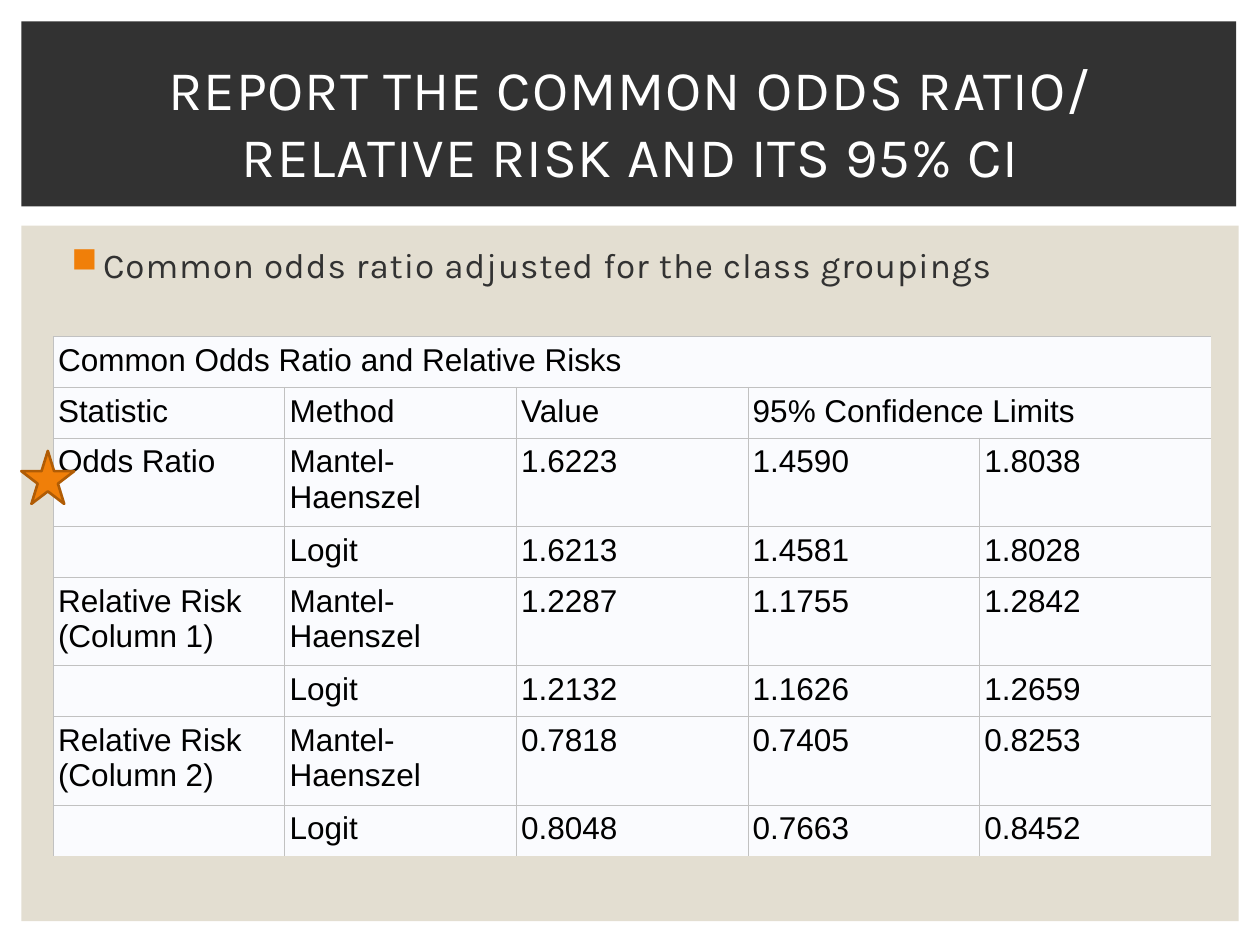
import dataclasses

import lxml.etree
import pptx
import pptx.dml.color
import pptx.enum.shapes
import pptx.enum.text
import pptx.oxml.ns
import pptx.shapes.autoshape
import pptx.slide
import pptx.table
import pptx.text.text
import pptx.util

Cm = pptx.util.Cm
Pt = pptx.util.Pt
qn = pptx.oxml.ns.qn
ShapeKind = pptx.enum.shapes.MSO_SHAPE


@dataclasses.dataclass(frozen=True)
class Theme:
    banner: str = "323232"
    panel: str = "E3DED1"
    title_text: str = "FFFFFF"
    body_text: str = "323232"
    accent: str = "F07F09"
    accent_edge: str = "B05C05"
    cell: str = "FAFBFE"
    cell_text: str = "000000"
    grid: str = "C1C1C1"
    heading_font: str = "Karla"
    table_font: str = "Arial"
    title_size: float = 32
    body_size: float = 20
    table_size: float = 18
    grid_width: float = 0.28
    star_edge_width: float = 1.5
    letter_spacing: int = 50


@dataclasses.dataclass(frozen=True)
class Box:
    left: float
    top: float
    width: float
    height: float

    def lengths(self) -> tuple:
        return tuple(Cm(v) for v in dataclasses.astuple(self))


@dataclasses.dataclass(frozen=True)
class Estimate:
    statistic: str
    method: str
    value: str
    lower: str
    upper: str


THEME = Theme()
PANEL = Box(0.43, 4.55, 24.54, 14.02)
BANNER = Box(0.43, 0.43, 24.49, 3.73)
BODY = Box(1.07, 4.78, 23.34, 12.24)
TITLE = Box(1.07, 0.99, 23.29, 2.92)
RISK_TABLE = Box(1.07, 6.78, 23.34, 10.07)
STAR = Box(0.43, 9.09, 1.07, 1.07)
SINGLE_ROW, DOUBLE_ROW = 0.97, 1.74

ESTIMATES = [
    Estimate("Odds Ratio", "Mantel-Haenszel", "1.6223", "1.4590", "1.8038"),
    Estimate("", "Logit", "1.6213", "1.4581", "1.8028"),
    Estimate("Relative Risk (Column 1)", "Mantel-Haenszel", "1.2287", "1.1755", "1.2842"),
    Estimate("", "Logit", "1.2132", "1.1626", "1.2659"),
    Estimate("Relative Risk (Column 2)", "Mantel-Haenszel", "0.7818", "0.7405", "0.8253"),
    Estimate("", "Logit", "0.8048", "0.7663", "0.8452"),
]


def rgb(colour: str) -> pptx.dml.color.RGBColor:
    return pptx.dml.color.RGBColor.from_string(colour)


def style(paragraph: pptx.text.text._Paragraph, font: str, size: float,
          colour: str, spacing: int = 0) -> None:
    for run in paragraph.runs:
        run.font.name = font
        run.font.size = Pt(size)
        run.font.color.rgb = rgb(colour)
        if spacing:
            run.font._element.set("spc", str(spacing))


def add_block(slide: pptx.slide.Slide, kind: ShapeKind, box: Box,
              fill: str) -> pptx.shapes.autoshape.Shape:
    block = slide.shapes.add_shape(kind, *box.lengths())
    block.shadow.inherit = False
    block.fill.solid()
    block.fill.fore_color.rgb = rgb(fill)
    block.line.fill.background()
    return block


def add_text(slide: pptx.slide.Slide, box: Box, text: str, size: float,
             colour: str) -> pptx.text.text.TextFrame:
    frame = slide.shapes.add_textbox(*box.lengths()).text_frame
    frame.word_wrap = True
    frame.text = text
    style(frame.paragraphs[0], THEME.heading_font, size, colour, THEME.letter_spacing)
    return frame


def add_bullet(paragraph: pptx.text.text._Paragraph) -> None:
    properties = paragraph._p.get_or_add_pPr()
    properties.set("marL", str(Cm(0.76)))
    properties.set("indent", str(-Cm(0.64)))
    colour = lxml.etree.SubElement(properties, qn("a:buClr"))
    lxml.etree.SubElement(colour, qn("a:srgbClr"), val=THEME.accent)
    lxml.etree.SubElement(properties, qn("a:buChar"), char="■")


def set_border(cell: pptx.table._Cell, side: str, visible: bool) -> None:
    properties = cell._tc.get_or_add_tcPr()
    line = lxml.etree.SubElement(properties, qn(f"a:ln{side}"), w=str(Pt(THEME.grid_width)))
    if visible:
        fill = lxml.etree.SubElement(line, qn("a:solidFill"))
        lxml.etree.SubElement(fill, qn("a:srgbClr"), val=THEME.grid)
    else:
        lxml.etree.SubElement(line, qn("a:noFill"))


def format_cell(cell: pptx.table._Cell, text: str, last_column: bool, last_row: bool) -> None:
    for side, visible in (("L", True), ("R", not last_column), ("T", True), ("B", not last_row)):
        set_border(cell, side, visible)
    cell.fill.solid()
    cell.fill.fore_color.rgb = rgb(THEME.cell)
    cell.margin_left = cell.margin_right = Cm(0.1)
    cell.margin_top = cell.margin_bottom = Cm(0.13)
    cell.text = text
    style(cell.text_frame.paragraphs[0], THEME.table_font, THEME.table_size, THEME.cell_text)


def add_risk_table(slide: pptx.slide.Slide) -> None:
    rows = [
        ("Common Odds Ratio and Relative Risks", "", "", "", ""),
        ("Statistic", "Method", "Value", "95% Confidence Limits", ""),
        *(dataclasses.astuple(estimate) for estimate in ESTIMATES),
    ]
    column_count = len(rows[0])
    table = slide.shapes.add_table(len(rows), column_count, *RISK_TABLE.lengths()).table
    table.first_row = table.horz_banding = False
    for column in table.columns:
        column.width = Cm(RISK_TABLE.width / column_count)
    for r, texts in enumerate(rows):
        table.rows[r].height = Cm(DOUBLE_ROW if "Mantel-Haenszel" in texts else SINGLE_ROW)
        for c, text in enumerate(texts):
            last_column = c == column_count - 1 or r == 0 or (r == 1 and c == 3)
            format_cell(table.cell(r, c), text, last_column, r == len(rows) - 1)
    table.cell(0, 0).merge(table.cell(0, column_count - 1))
    table.cell(1, 3).merge(table.cell(1, 4))


def main() -> None:
    deck = pptx.Presentation()
    deck.slide_width, deck.slide_height = Cm(25.4), Cm(19.05)
    slide = deck.slides.add_slide(deck.slide_layouts[6])

    add_block(slide, ShapeKind.RECTANGLE, PANEL, THEME.panel)
    add_block(slide, ShapeKind.RECTANGLE, BANNER, THEME.banner)

    body = add_text(slide, BODY, "Common odds ratio adjusted for the class groupings",
                    THEME.body_size, THEME.body_text)
    add_bullet(body.paragraphs[0])

    title = add_text(slide, TITLE, "REPORT THE COMMON ODDS RATIO/ RELATIVE RISK AND ITS 95% CI",
                     THEME.title_size, THEME.title_text)
    title.vertical_anchor = pptx.enum.text.MSO_ANCHOR.MIDDLE
    title.paragraphs[0].alignment = pptx.enum.text.PP_ALIGN.CENTER

    add_risk_table(slide)

    star = add_block(slide, ShapeKind.STAR_5_POINT, STAR, THEME.accent)
    star.line.color.rgb = rgb(THEME.accent_edge)
    star.line.width = Pt(THEME.star_edge_width)

    deck.save("out.pptx")


if __name__ == "__main__":
    main()
